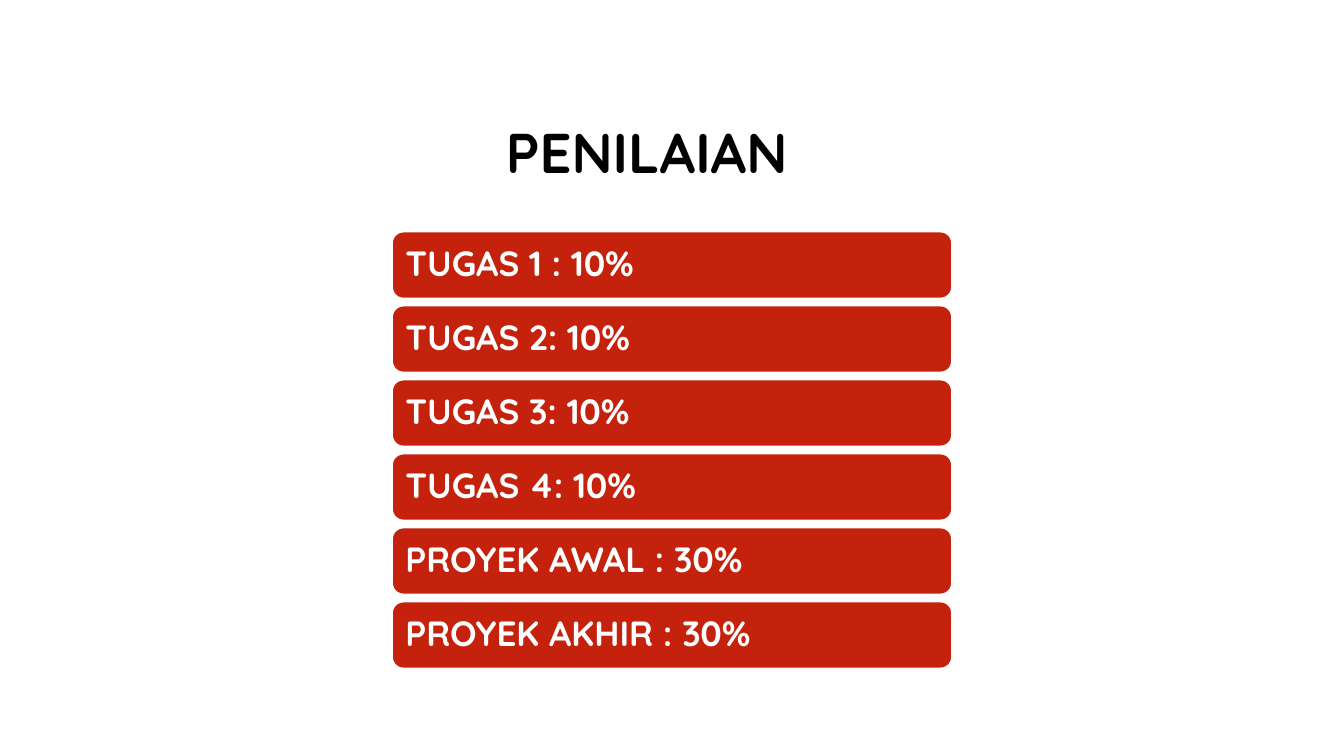
from dataclasses import dataclass

from pptx import Presentation
from pptx.dml.color import RGBColor
from pptx.enum.shapes import MSO_SHAPE
from pptx.enum.text import MSO_ANCHOR, PP_ALIGN
from pptx.shapes.autoshape import Shape
from pptx.slide import Slide
from pptx.util import Inches, Pt

ROUNDED = MSO_SHAPE.ROUNDED_RECTANGLE
MIDDLE = MSO_ANCHOR.MIDDLE
LEFT, RIGHT = PP_ALIGN.LEFT, PP_ALIGN.RIGHT

BLACK = RGBColor(0x00, 0x00, 0x00)
WHITE = RGBColor(0xFF, 0xFF, 0xFF)
RED = RGBColor(0xC4, 0x22, 0x0D)
FONT = "Quicksand"

BAR_LEFT, BAR_WIDTH, BAR_HEIGHT = 3.89, 5.55, 0.66
FIRST_TOP, LAST_TOP = 2.3, 5.97


@dataclass(frozen=True)
class Assessment:
    label: str
    top: float


LABELS = [
    "TUGAS 1 : 10%",
    "TUGAS 2: 10%",
    "TUGAS 3: 10%",
    "TUGAS 4: 10%",
    "PROYEK AWAL : 30%",
    "PROYEK AKHIR : 30%",
]
PITCH = (LAST_TOP - FIRST_TOP) / (len(LABELS) - 1)
ASSESSMENTS = [
    Assessment(label, FIRST_TOP + index * PITCH)
    for index, label in enumerate(LABELS)
]


def write_text(shape: Shape, text: str, *, size: float, color: RGBColor,
               alignment: PP_ALIGN = LEFT) -> None:
    frame = shape.text_frame
    frame.word_wrap = True
    frame.vertical_anchor = MIDDLE
    frame.margin_left = frame.margin_right = Inches(0.1)
    paragraph = frame.paragraphs[0]
    paragraph.alignment = alignment
    paragraph.line_spacing = 0.9
    run = paragraph.add_run()
    run.text = text
    run.font.name = FONT
    run.font.size = Pt(size)
    run.font.bold = True
    run.font.color.rgb = color


def draw_assessment(slide: Slide, assessment: Assessment) -> None:
    bar = slide.shapes.add_shape(
        ROUNDED, Inches(BAR_LEFT), Inches(assessment.top),
        Inches(BAR_WIDTH), Inches(BAR_HEIGHT))
    bar.shadow.inherit = False
    bar.fill.solid()
    bar.fill.fore_color.rgb = RED
    bar.line.color.rgb = WHITE
    bar.line.width = Pt(1)
    write_text(bar, assessment.label, size=25, color=WHITE)


def main() -> None:
    presentation = Presentation()
    presentation.slide_width = Inches(13.33)
    presentation.slide_height = Inches(7.5)
    slide = presentation.slides.add_slide(presentation.slide_layouts[6])

    # Title
    title = slide.shapes.add_textbox(
        Inches(3.17), Inches(0.84), Inches(4.74), Inches(1.41))
    write_text(title, "PENILAIAN", size=40, color=BLACK, alignment=RIGHT)

    # Assessment weights
    for assessment in ASSESSMENTS:
        draw_assessment(slide, assessment)

    presentation.save("out.pptx")


if __name__ == "__main__":
    main()
